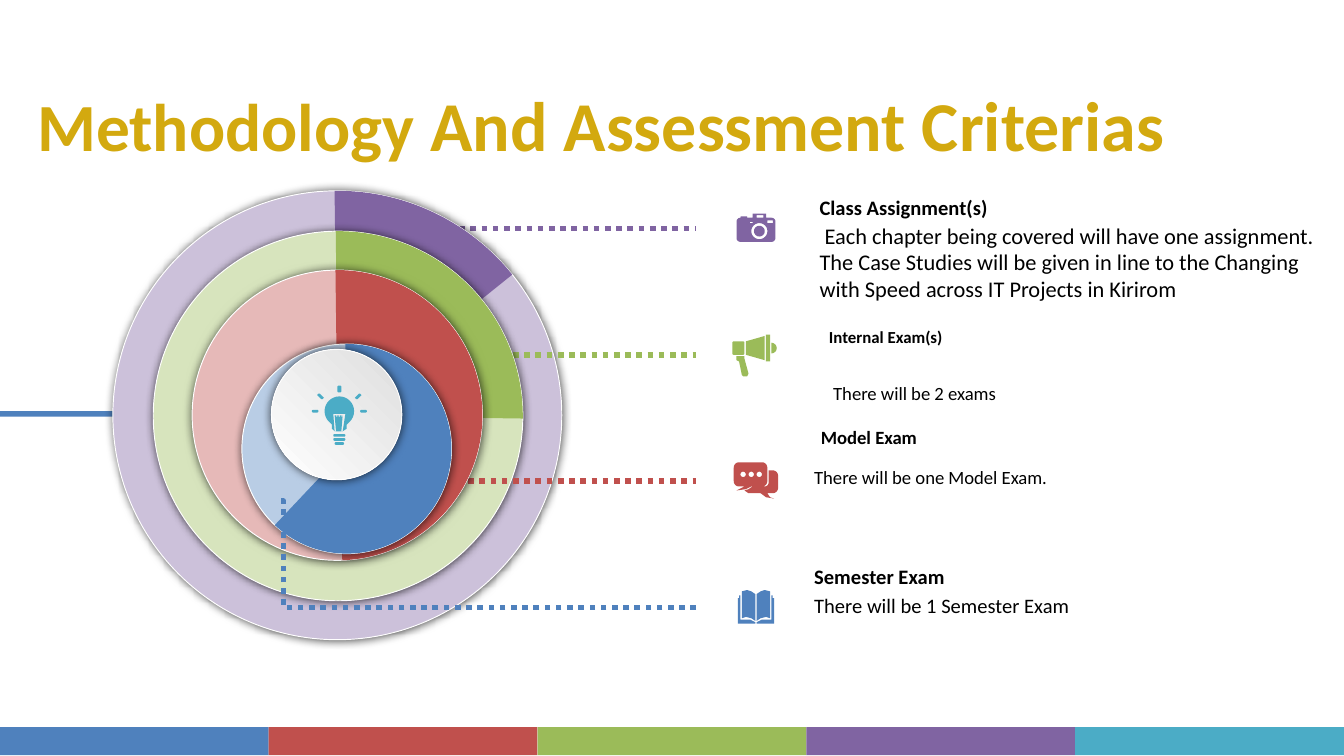
import math
import lxml.etree
import pptx
import pptx.dml.color
import pptx.enum.dml
import pptx.enum.shapes
import pptx.enum.text
import pptx.oxml
import pptx.oxml.ns
import pptx.util

Inches = pptx.util.Inches
RGBColor = pptx.dml.color.RGBColor
Shape = pptx.enum.shapes.MSO_SHAPE
Connector = pptx.enum.shapes.MSO_CONNECTOR

BLUE = RGBColor(0x4F, 0x81, 0xBD)
RED = RGBColor(0xC0, 0x50, 0x4D)
GREEN = RGBColor(0x9B, 0xBB, 0x59)
PURPLE = RGBColor(0x80, 0x64, 0xA2)
TEAL = RGBColor(0x4B, 0xAC, 0xC6)
PALE_BLUE = RGBColor(0xB9, 0xCD, 0xE5)
PALE_RED = RGBColor(0xE6, 0xB9, 0xB8)
PALE_GREEN = RGBColor(0xD7, 0xE4, 0xBD)
PALE_PURPLE = RGBColor(0xCC, 0xC1, 0xDA)
GOLD = RGBColor(0xD3, 0xA9, 0x0F)
GREY = RGBColor(0xDE, 0xDE, 0xDE)
WHITE = RGBColor(0xFF, 0xFF, 0xFF)
BLACK = RGBColor(0, 0, 0)

SHADOW = (
    '<a:effectLst %s><a:outerShdw blurRad="63500" dist="0" algn="ctr" rotWithShape="0">'
    '<a:srgbClr val="000000"><a:alpha val="70000"/></a:srgbClr></a:outerShdw></a:effectLst>'
    % pptx.oxml.ns.nsdecls("a")
)


def arc(x, y, radius, start, stop, steps=8):
    angles = [math.radians(start + (stop - start) * i / steps) for i in range(steps + 1)]
    return [(x + radius * math.cos(a), y + radius * math.sin(a)) for a in angles]


def disc(x, y, radius):
    return arc(x, y, radius, 0, 360, 24)


def block(left, top, right, bottom):
    return [(left, top), (right, top), (right, bottom), (left, bottom)]


def rounded(left, top, right, bottom, radius):
    return (arc(left + radius, top + radius, radius, 180, 270)
            + arc(right - radius, top + radius, radius, 270, 360)
            + arc(right - radius, bottom - radius, radius, 0, 90)
            + arc(left + radius, bottom - radius, radius, 90, 180))


def mirror(points, axis):
    return [(2 * axis - x, y) for x, y in points]


class Slide:
    font = "Calibri"

    def __init__(self, deck):
        self.page = deck.slides.add_slide(deck.slide_layouts[6])
        self.shapes = self.page.shapes

    def paint(self, shape, fill):
        shape.shadow.inherit = False
        shape.line.fill.background()
        shape.fill.solid()
        shape.fill.fore_color.rgb = fill

    def shape(self, kind, left, top, width, height, fill):
        shape = self.shapes.add_shape(
            kind, Inches(left), Inches(top), Inches(width), Inches(height))
        self.paint(shape, fill)
        return shape

    def circle(self, left, top, size, fill):
        circle = self.shape(Shape.OVAL, left, top, size, size, fill)
        circle.line.color.rgb = WHITE
        circle.line.width = pptx.util.Pt(0.5)
        properties = circle._element.spPr
        properties.remove(properties.find(pptx.oxml.ns.qn("a:effectLst")))
        properties.append(pptx.oxml.parse_xml(SHADOW))
        return circle

    def ring(self, left, top, size, pale, fill, stop):
        self.circle(left, top, size, pale)
        pie = self.shape(Shape.PIE, left, top, size, size, fill)
        for index, degrees in enumerate((269.3, stop)):
            pie.adjustments[index] = degrees * 0.6

    def dots(self, start, end, color, kind=Connector.STRAIGHT):
        line = self.shapes.add_connector(kind, *[Inches(v) for v in start + end])
        line.line.color.rgb = color
        line.line.width = pptx.util.Pt(3)
        line.line.dash_style = pptx.enum.dml.MSO_LINE.ROUND_DOT
        lxml.etree.SubElement(line._element.spPr, pptx.oxml.ns.qn("a:effectLst"))
        return line

    def text(self, left, top, width, height, runs, color=BLACK):
        box = self.shapes.add_textbox(
            Inches(left), Inches(top), Inches(width), Inches(height))
        frame = box.text_frame
        frame.word_wrap = True
        para = frame.paragraphs[0]
        for words, size, bold in runs:
            span = para.add_run()
            span.text = words
            span.font.name = self.font
            span.font.size = pptx.util.Pt(size)
            span.font.bold = bold
            span.font.color.rgb = color
        return frame

    def icon(self, contours, fill):
        outlines = [[(Inches(x), Inches(y)) for x, y in c] for c in contours]
        builder = self.shapes.build_freeform(*outlines[0][0])
        builder.add_line_segments(outlines[0][1:])
        for outline in outlines[1:]:
            builder.move_to(*outline[0])
            builder.add_line_segments(outline[1:])
        self.paint(builder.convert_to_shape(), fill)


PAGE = [(5.62, 4.42), (5.59, 4.4), (5.56, 4.39), (5.52, 4.4), (5.52, 4.6),
        (5.55, 4.59), (5.59, 4.6), (5.62, 4.62)]
COVER = [(5.62, 4.63), (5.58, 4.61), (5.51, 4.61), (5.51, 4.43), (5.5, 4.43),
         (5.5, 4.45), (5.49, 4.45), (5.49, 4.64), (5.62, 4.64)]
SPINE = 11.25 / 2
BOOK = [PAGE, mirror(PAGE, SPINE), COVER, mirror(COVER, SPINE)]

CHAT = [
    arc(5.5, 3.48, 0.04, 180, 270) + arc(5.67, 3.48, 0.04, 270, 360)
    + arc(5.67, 3.58, 0.04, 0, 90)
    + [(5.59, 3.62), (5.55, 3.64), (5.48, 3.65), (5.54, 3.62)]
    + arc(5.5, 3.58, 0.04, 90, 180),
    [(5.72, 3.5)] + arc(5.75, 3.54, 0.04, 270, 360) + arc(5.75, 3.63, 0.04, 0, 90)
    + [(5.71, 3.67), (5.73, 3.7), (5.76, 3.71), (5.7, 3.7), (5.66, 3.67),
       (5.57, 3.67), (5.54, 3.65), (5.57, 3.64), (5.6, 3.62), (5.69, 3.62)]
    + arc(5.69, 3.59, 0.03, 90, 0),
] + [disc(x, 3.53, 0.02) for x in (5.53, 5.59, 5.65)]

MEGAPHONE = [
    [(5.48, 2.65), (5.54, 2.65), (5.54, 2.67), (5.57, 2.78), (5.56, 2.8),
     (5.53, 2.8), (5.52, 2.79), (5.5, 2.69), (5.48, 2.68)],
    arc(5.74, 2.59, 0.04, -90, 90),
    rounded(5.45, 2.54, 5.54, 2.64, 0.01),
    [(5.55, 2.54), (5.69, 2.5), (5.69, 2.68), (5.55, 2.64)],
    block(5.7, 2.49, 5.73, 2.69),
]

CAMERA = [
    arc(5.51, 1.65, 0.03, 180, 270)
    + [(5.51, 1.61), (5.56, 1.61), (5.56, 1.62), (5.6, 1.62), (5.6, 1.59),
       (5.7, 1.59), (5.7, 1.62)]
    + arc(5.74, 1.65, 0.03, 270, 360) + arc(5.74, 1.77, 0.03, 0, 90)
    + arc(5.51, 1.77, 0.03, 90, 180),
    disc(5.65, 1.72, 0.06), disc(5.65, 1.72, 0.04),
    block(5.58, 1.65, 5.6, 1.66), block(5.71, 1.64, 5.75, 1.66),
    block(5.63, 1.6, 5.68, 1.62),
]

BULB_AXIS = 5.05 / 2
RAY = [(2.36, 2.94), (2.37, 2.93), (2.38, 2.93), (2.41, 2.96), (2.4, 2.97), (2.39, 2.97)]
SIDE_RAY = rounded(2.32, 3.05, 2.37, 3.07, 0.01)
BULB = [
    arc(BULB_AXIS, 3.06, 0.11, 135, 405, 24)
    + [(2.58, 3.16), (2.58, 3.19), (2.55, 3.21), (2.49, 3.21), (2.47, 3.19), (2.47, 3.16)],
    [(2.48, 3.08), (2.57, 3.08), (2.55, 3.21), (2.54, 3.21), (2.55, 3.09),
     (2.49, 3.09), (2.5, 3.21), (2.49, 3.21)],
    RAY, mirror(RAY, BULB_AXIS), SIDE_RAY, mirror(SIDE_RAY, BULB_AXIS),
    rounded(2.51, 2.87, 2.54, 2.92, 0.01),
    rounded(2.48, 3.23, 2.57, 3.25, 0.01),
    rounded(2.48, 3.26, 2.57, 3.28, 0.01),
    rounded(2.49, 3.29, 2.56, 3.31, 0.01),
] + [block(x, 3.09, x + 0.01, 3.1) for x in (2.5, 2.52, 2.54)]

RINGS = [
    (0.84, 1.42, 3.34, PALE_PURPLE, PURPLE, 321.2, (3.25, 1.7)),
    (1.14, 1.72, 2.75, PALE_GREEN, GREEN, 0.8, (3.4, 2.64)),
    (1.43, 2.01, 2.16, PALE_RED, RED, 88, (3.4, 3.58)),
    (1.8, 2.56, 1.56, PALE_BLUE, BLUE, 133.3, None),
]

CRITERIA = [
    (6, 1.4, 4, 0.29, "Class Assignment(s)", 11, True),
    (6, 1.6, 4, 0.71, " Each chapter being covered will have one assignment.  The Case Studies "
     "will be given in line to the Changing with Speed across IT Projects in Kirirom", 12, False),
    (6.07, 2.38, 3.14, 0.25, "Internal Exam(s)", 9, True),
    (6.07, 2.79, 3.14, 0.27, " There will be 2 exams", 10, False),
    (6.01, 3.12, 3.14, 0.27, "Model Exam", 10, True),
    (5.96, 3.42, 3.14, 0.27, "There will be one Model Exam.", 10, False),
    (5.96, 4.15, 3.14, 0.29, "Semester Exam", 11, True),
    (5.96, 4.36, 3.14, 0.29, "There will be 1 Semester Exam", 11, False),
]


def main():
    deck = pptx.Presentation()
    deck.slide_width = Inches(10)
    deck.slide_height = Inches(10 * 9 / 16)
    slide = Slide(deck)
    for index, color in enumerate((BLUE, RED, GREEN, PURPLE, TEAL)):
        slide.shape(Shape.RECTANGLE, 2 * index, 5.41, 2, 0.21, color)
    slide.shape(Shape.RECTANGLE, 0, 3.06, 1.45, 0.04, BLUE)
    title = slide.text(-0.27, 0.62, 9.49, 0.59, [
        ("Methodology", 36.1, True), (" And Assessment Criterias", 37.5, True)], GOLD)
    title.vertical_anchor = pptx.enum.text.MSO_ANCHOR.MIDDLE
    title.paragraphs[0].alignment = pptx.enum.text.PP_ALIGN.CENTER

    for left, top, size, pale, color, stop, start in RINGS:
        if start:
            slide.dots(start, (5.18, start[1]), color)
        slide.ring(left, top, size, pale, color, stop)
    hub = slide.circle(2.02, 2.6, 0.97, WHITE)
    hub.fill.gradient()
    hub.fill.gradient_angle = 225
    for stop, color in zip(hub.fill.gradient_stops, (GREY, WHITE)):
        stop.color.rgb = color
    elbow = slide.dots((5.18, 4.52), (2.08, 3.73), BLUE, Connector.ELBOW)
    guides = elbow._element.spPr.prstGeom.get_or_add_avLst()
    lxml.etree.SubElement(guides, pptx.oxml.ns.qn("a:gd"), name="adj1", fmla="val 99000")

    for left, top, width, height, words, size, bold in CRITERIA:
        frame = slide.text(left, top, width, height, [(words, size, bold)])
        frame.auto_size = pptx.enum.text.MSO_AUTO_SIZE.SHAPE_TO_FIT_TEXT
    for contours, color in ((BOOK, BLUE), (CHAT, RED), (MEGAPHONE, GREEN),
                            (CAMERA, PURPLE), (BULB, TEAL)):
        slide.icon(contours, color)
    deck.save("out.pptx")


if __name__ == "__main__":
    main()
